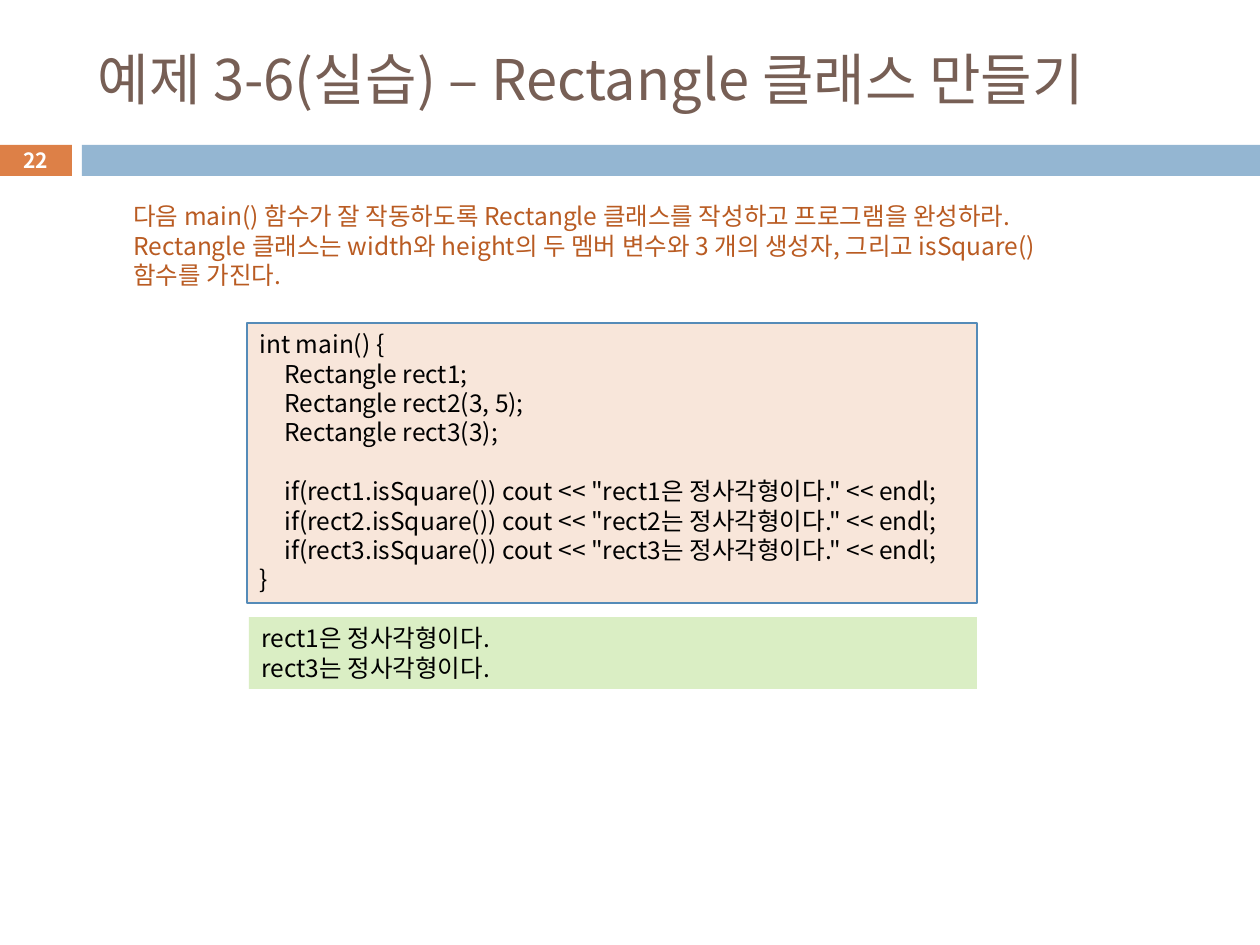
from lxml import etree
from pptx import Presentation
from pptx.dml.color import RGBColor
from pptx.enum.shapes import MSO_SHAPE
from pptx.enum.text import MSO_ANCHOR, PP_ALIGN
from pptx.oxml.ns import qn
from pptx.util import Emu, Pt

RECT = MSO_SHAPE.RECTANGLE
TOP, MIDDLE = MSO_ANCHOR.TOP, MSO_ANCHOR.MIDDLE
LEFT, CENTER = PP_ALIGN.LEFT, PP_ALIGN.CENTER
TITLE_ONLY = 5
FONT = "Noto Sans CJK KR"
COLORS = {
    "title": "775F55", "number": "DD8047", "bar": "94B6D2", "white": "FFFFFF",
    "task": "B95B22", "code": "F8E6DA", "border": "558BB8", "output": "DAEEC4",
    "black": "000000",
}
TASK = """다음 main() 함수가 잘 작동하도록 Rectangle 클래스를 작성하고 프로그램을 완성하라.
Rectangle 클래스는 width와 height의 두 멤버 변수와 3 개의 생성자, 그리고 isSquare() 함수를 가진다."""
CODE = """int main() {
\tRectangle rect1;
\tRectangle rect2(3, 5);
\tRectangle rect3(3);

\tif(rect1.isSquare()) cout << "rect1은 정사각형이다." << endl;
\tif(rect2.isSquare()) cout << "rect2는 정사각형이다." << endl;
\tif(rect3.isSquare()) cout << "rect3는 정사각형이다." << endl;
}"""
OUTPUT = """rect1은 정사각형이다.
rect3는 정사각형이다."""


def px(n):
    """Turn pixels into EMU."""
    return Emu(round(n * 914400 / 126))


def rgb(name):
    """Look up a named colour."""
    return RGBColor.from_string(COLORS[name])


def add_tab_stop(p, position):
    """Give a paragraph one left tab stop."""
    tabs = etree.SubElement(p._p.get_or_add_pPr(), qn("a:tabLst"))
    etree.SubElement(tabs, qn("a:tab"), pos=str(px(position)), algn="l")


def write(tf, text, size, color, anchor=TOP, align=LEFT, bold=False, pitch=None, tab=None):
    """Fill a text frame and format its paragraphs and runs."""
    tf.text = text
    tf.word_wrap = True
    tf.vertical_anchor = anchor
    for p in tf.paragraphs:
        p.alignment = align
        if pitch:
            p.line_spacing = Pt(pitch)
        if tab:
            add_tab_stop(p, tab)
        p.font.size = Pt(size)
        for r in p.runs:
            r.font.name, r.font.size, r.font.bold = FONT, Pt(size), bold
            r.font.color.rgb = rgb(color)
            etree.SubElement(r.font._element, qn("a:ea"), typeface=FONT)


def add_rect(s, box, fill, line=None):
    """Add a flat filled rectangle."""
    sp = s.shapes.add_shape(RECT, *map(px, box))
    sp.shadow.inherit = False
    sp.fill.solid()
    sp.fill.fore_color.rgb = rgb(fill)
    if line:
        sp.line.color.rgb = rgb(line)
        sp.line.width = Pt(0.75)
    else:
        sp.line.fill.background()
    return sp


def add_header(s, x, y, w, h):
    """Place the title, the number block and the bar."""
    bar_y, bar_h, number_w, gap = y + h - 31, 31, 73, 10
    title = s.shapes.title
    title.left, title.top, title.width, title.height = map(px, (x + 85, y + 32, 1124, 93))
    write(title.text_frame, "예제 3-6(실습) – Rectangle 클래스 만들기", 32, "title", MIDDLE)
    number = add_rect(s, (x - 1, bar_y, number_w, bar_h), "number")
    tf = number.text_frame
    tf.margin_top = tf.margin_bottom = 0
    write(tf, "22", 12, "white", MIDDLE, CENTER, True)
    bar_x = x - 1 + number_w + gap
    add_rect(s, (bar_x, bar_y, x + w - bar_x, bar_h), "bar")


def add_task(s, x, y, w, h):
    """Place the exercise text."""
    sp = s.shapes.add_textbox(*map(px, (x, y, w, h)))
    write(sp.text_frame, TASK, 14, "task", pitch=16.8)


def add_example(s, x, y, w, h):
    """Place the code box with its output box below."""
    output_h, gap, inset = 72, 14, 2
    code_h = h - output_h - gap
    code = add_rect(s, (x, y, w, code_h), "code", "border")
    write(code.text_frame, CODE, 14, "black", pitch=16.8, tab=25)
    output = add_rect(s, (x + inset, y + code_h + gap, w - inset, output_h), "output")
    write(output.text_frame, OUTPUT, 14, "black", pitch=16.8)


def main():
    """Build and save the slide."""
    prs = Presentation()
    prs.slide_width, prs.slide_height = px(1260), px(945)
    s = prs.slides.add_slide(prs.slide_layouts[TITLE_ONLY])
    add_header(s, 0, 0, 1260, 176)
    add_task(s, 121, 195, 983, 102)
    add_example(s, 247, 323, 730, 366)
    prs.save("out.pptx")


if __name__ == "__main__":
    main()
